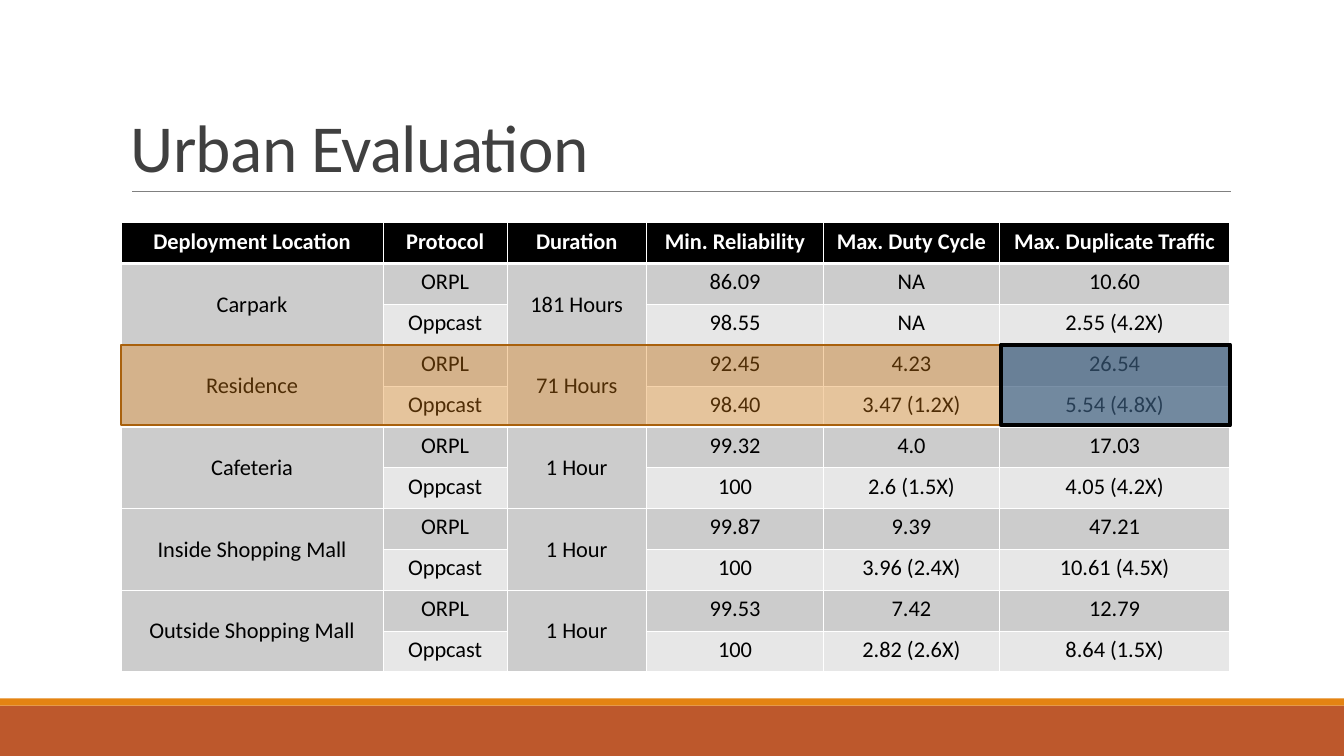
from lxml.etree import SubElement
from pptx import Presentation
from pptx.dml.color import RGBColor
from pptx.enum.shapes import MSO_CONNECTOR, MSO_SHAPE
from pptx.enum.text import MSO_ANCHOR, PP_ALIGN
from pptx.oxml.ns import qn
from pptx.util import Inches, Pt

COLORS = {
    "rust": "BD582C", "orange": "E48312", "brown": "A9610D", "blue": "004FA3",
    "title": "404040", "rule": "808080", "black": "000000", "white": "FFFFFF",
    "dark_band": "CCCCCC", "light_band": "E7E7E7",
}


def write(frame, text, size=16, color="black", bold=False, align=PP_ALIGN.CENTER,
          line_spacing=None, tracking=None):
    paragraph = frame.paragraphs[0]
    paragraph.alignment = align
    paragraph.line_spacing = line_spacing
    run = paragraph.add_run()
    run.text = text
    run.font.name = "Calibri"
    run.font.size = Pt(size)
    run.font.bold = bold
    run.font.color.rgb = RGBColor.from_string(COLORS[color])
    if tracking is not None:
        run.font._element.set("spc", str(int(tracking * 100)))


def add_rect(left, top, width, height, fill, opacity=None, line=None, line_width=1):
    rect = slide.shapes.add_shape(MSO_SHAPE.RECTANGLE, Inches(left), Inches(top),
                                  Inches(width), Inches(height))
    rect.shadow.inherit = False
    rect.fill.solid()
    rect.fill.fore_color.rgb = RGBColor.from_string(COLORS[fill])
    if opacity is not None:
        tint = rect._element.spPr.find(qn("a:solidFill"))[0]
        SubElement(tint, qn("a:alpha")).set("val", str(opacity * 1000))
    if line:
        rect.line.color.rgb = RGBColor.from_string(COLORS[line])
        rect.line.width = Pt(line_width)
    else:
        rect.line.fill.background()


prs = Presentation()
prs.slide_width, prs.slide_height = Inches(13.33), Inches(7.5)
slide = prs.slides.add_slide(prs.slide_layouts[6])

# Footer bands
add_rect(0, 7, 13.33, 0.5, "rust")
add_rect(0, 6.93, 13.33, 0.07, "orange")

# Title and the rule below it
rule = slide.shapes.add_connector(MSO_CONNECTOR.STRAIGHT, Inches(1.31), Inches(1.9),
                                  Inches(12.21), Inches(1.9))
rule.line.color.rgb = RGBColor.from_string(COLORS["rule"])
rule.line.width = Pt(0.5)
SubElement(rule._element.spPr, qn("a:effectLst"))

title = slide.shapes.add_textbox(Inches(1.2), Inches(0.31), Inches(11), Inches(1.59))
title.text_frame.word_wrap = True
title.text_frame.vertical_anchor = MSO_ANCHOR.BOTTOM
write(title.text_frame, "Urban Evaluation", size=48, color="title",
      align=PP_ALIGN.LEFT, line_spacing=0.85, tracking=-0.5)

# Results: each location has one row per protocol
headers = ["Deployment Location", "Protocol", "Duration", "Min. Reliability",
           "Max. Duty Cycle", "Max. Duplicate Traffic"]
deployments = [
    ("Carpark", "181 Hours",
     ("86.09", "NA", "10.60"), ("98.55", "NA", "2.55 (4.2X)")),
    ("Residence", "71 Hours",
     ("92.45", "4.23", "26.54"), ("98.40", "3.47 (1.2X)", "5.54 (4.8X)")),
    ("Cafeteria", "1 Hour",
     ("99.32", "4.0", "17.03"), ("100", "2.6 (1.5X)", "4.05 (4.2X)")),
    ("Inside Shopping Mall", "1 Hour",
     ("99.87", "9.39", "47.21"), ("100", "3.96 (2.4X)", "10.61 (4.5X)")),
    ("Outside Shopping Mall", "1 Hour",
     ("99.53", "7.42", "12.79"), ("100", "2.82 (2.6X)", "8.64 (1.5X)")),
]
rows = [headers]
for location, duration, orpl, oppcast in deployments:
    rows.append([location, "ORPL", duration, *orpl])
    rows.append(["", "Oppcast", "", *oppcast])

results = slide.shapes.add_table(len(rows), len(headers), Inches(1.2), Inches(2.21),
                                 Inches(11), Inches(4.46)).table
for column, width in zip(results.columns, [2.6, 1.23, 1.38, 1.76, 1.74, 2.29]):
    column.width = Inches(width)
for row in results.rows:
    row.height = Inches(4.46 / len(rows))

for r, values in enumerate(rows):
    for c, value in enumerate(values):
        cell = results.cell(r, c)
        spans_protocols = r > 0 and c in (0, 2)
        if spans_protocols and r % 2:
            cell.merge(results.cell(r + 1, c))
            cell.vertical_anchor = MSO_ANCHOR.MIDDLE
        if value:
            write(cell.text_frame, value, color="black" if r else "white", bold=r == 0)

        # White cell borders, thicker under the header
        for side in ("lnL", "lnR", "lnT", "lnB"):
            thick = (r, side) in ((0, "lnB"), (1, "lnT"))
            border = SubElement(cell._tc.get_or_add_tcPr(), qn(f"a:{side}"))
            border.set("w", str(Pt(3 if thick else 1)))
            paint = SubElement(border, qn("a:solidFill"))
            SubElement(paint, qn("a:srgbClr")).set("val", COLORS["white"])

        if r == 0:
            band = "black"
        else:
            band = "dark_band" if r % 2 or spans_protocols else "light_band"
        cell.fill.solid()
        cell.fill.fore_color.rgb = RGBColor.from_string(COLORS[band])

# Highlights on the Residence rows and their duplicate traffic
add_rect(1.2, 3.42, 11, 0.8, "orange", opacity=35, line="brown", line_width=1.25)
add_rect(9.93, 3.42, 2.27, 0.8, "blue", opacity=50, line="black", line_width=3)

prs.save("out.pptx")
